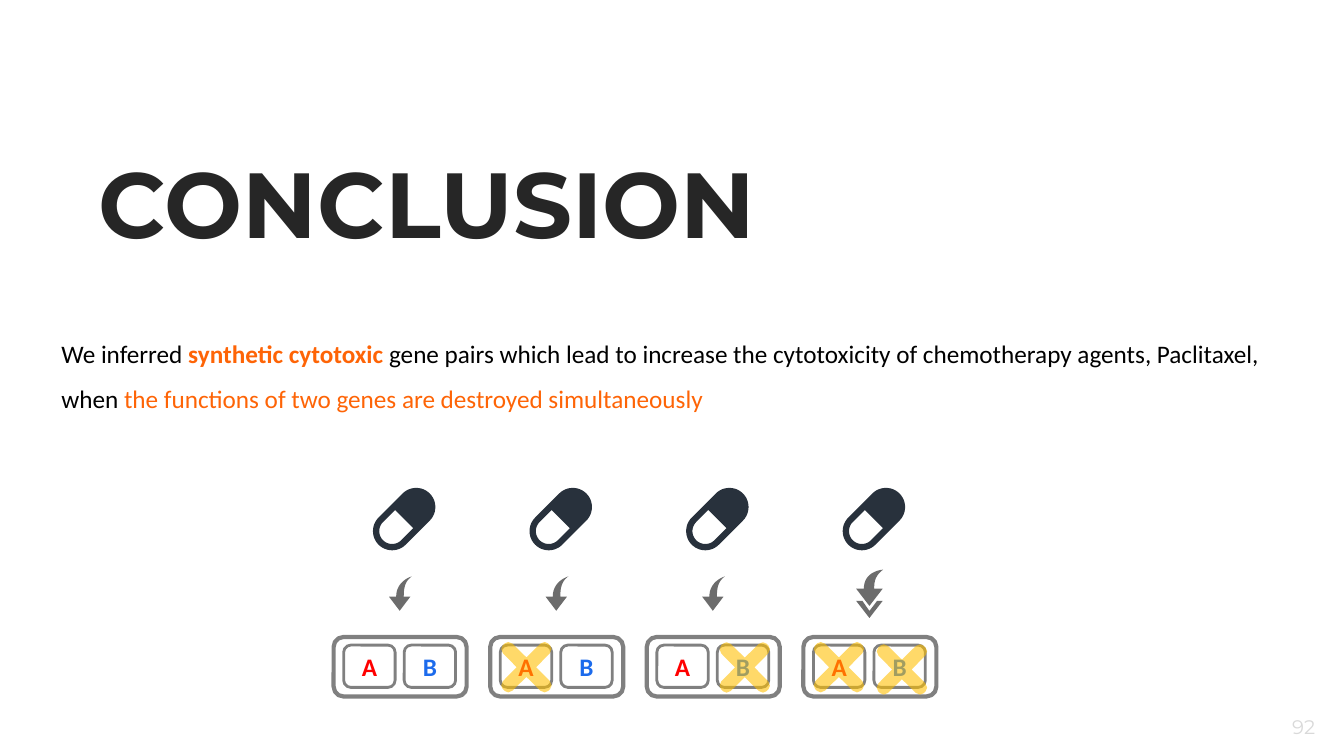
import math

from lxml import etree
from pptx import Presentation
from pptx.dml.color import RGBColor
from pptx.enum.shapes import MSO_SHAPE
from pptx.enum.text import MSO_ANCHOR, PP_ALIGN
from pptx.oxml.ns import qn
from pptx.util import Pt

ROUND_BOX = MSO_SHAPE.ROUNDED_RECTANGLE
MIDDLE = MSO_ANCHOR.MIDDLE
LEFT, CENTER = PP_ALIGN.LEFT, PP_ALIGN.CENTER

BLACK = RGBColor(0x00, 0x00, 0x00)
TITLE_INK = RGBColor(0x26, 0x26, 0x26)
PAGE_GREY = RGBColor(0xD9, 0xD9, 0xD9)
ORANGE = RGBColor(0xFE, 0x64, 0x06)
RED = RGBColor(0xFF, 0x00, 0x00)
BLUE = RGBColor(0x1C, 0x6B, 0xEC)
FRAME_GREY = RGBColor(0x80, 0x80, 0x80)
ARROW_GREY = RGBColor(0x6C, 0x6C, 0x6C)
PILL_NAVY = RGBColor(0x28, 0x31, 0x3C)
AMBER = RGBColor(0xFF, 0xC0, 0x00)

FIRST_CASE, CASE_STEP = 238.3, 111.85
GENES = [("A", 7.2, RED), ("B", 50.4, BLUE)]
# Centres of the crosses in each case, measured from the left of its frame
KNOCKOUTS = [[], [(25.9, 476.6)], [(70, 476.8)], [(25.4, 476.6), (70.4, 478.2)]]


def arc(cx, cy, radius, start, end, steps=24):
    angles = [math.radians(start + (end - start) * i / steps) for i in range(steps + 1)]
    return [(cx + radius * math.cos(a), cy + radius * math.sin(a)) for a in angles]


def bezier(p0, p1, p2, p3, steps=16):
    points = []
    for i in range(steps + 1):
        t = i / steps
        weights = ((1 - t) ** 3, 3 * t * (1 - t) ** 2, 3 * t * t * (1 - t), t ** 3)
        points.append(tuple(sum(w * p[axis] for w, p in zip(weights, (p0, p1, p2, p3)))
                            for axis in (0, 1)))
    return points


def pill_outline():
    """Capsule at 45 degrees around the origin, with its lower half hollow."""
    reach, radius, hollow = 8.6, 13.7, 9.2
    shell = arc(-reach, reach, radius, 45, 225) + arc(reach, -reach, radius, 225, 405)
    edge = hollow * math.sqrt(0.5)
    window = arc(-reach, reach, hollow, 225, 45) + [(edge, edge), (-edge, -edge)]
    return [shell, window]


def cross_outline():
    """One rounded arm turned by quarter turns around the origin."""
    arm = [(7, 0), (16.8, -10), (18, -13), (17, -15.5), (15.5, -17), (13, -18), (10, -16.8)]
    points = []
    for _ in range(4):
        points += arm
        arm = [(y, -x) for x, y in arm]
    return [points]


def arrow_outline():
    """Curved arrow, its tip at the origin."""
    tail = bezier((-2.5, -10), (-2.5, -21.5), (8.6, -24.5), (8.6, -24.5))
    back = bezier((8.6, -24.5), (3.6, -21), (2.9, -15.8), (2.9, -10))
    return [[(7.6, -10), (0, 0), (-7.6, -10)] + tail + back]


def double_arrow_outline():
    """Curved arrow with a chevron below, the chevron's tip at the origin."""
    chevron = [(-5, -12.2), (-9.5, -12.2), (0, 0), (9.5, -12.2), (5.5, -12.2), (0, -5)]
    tail = bezier((3.4, -20.9), (3.4, -26.6), (4.3, -30.2), (9.7, -34.5))
    back = bezier((9.7, -34.5), (9.7, -34.5), (-4, -33.8), (-4, -20.9))
    return [chevron, [(-9.5, -20.9), (0, -8.6), (9.5, -20.9)] + tail + back]


class SlidePainter:
    def __init__(self, page, body_font, display_font):
        self.page = page
        self.body_font = body_font
        self.display_font = display_font

    def span(self, para, text, size, color, bold=False, font=None):
        span = para.add_run()
        span.text = text
        span.font.name = font or self.body_font
        span.font.size = Pt(size)
        span.font.bold = bold
        span.font.color.rgb = color

    def text(self, left, top, width, height, lines, size, font=None, align=LEFT, gap=0):
        """Each line is a list of (text, color, bold)."""
        box = self.page.shapes.add_textbox(Pt(left), Pt(top), Pt(width), Pt(height))
        frame = box.text_frame
        frame.word_wrap = True
        for index, line in enumerate(lines):
            para = frame.add_paragraph() if index else frame.paragraphs[0]
            para.alignment = align
            if index:
                para.space_before = Pt(gap)
            for words, color, bold in line:
                self.span(para, words, size, color, bold, font)

    def frame(self, left, top, width, height, weight, label=None, color=None):
        box = self.page.shapes.add_shape(ROUND_BOX, Pt(left), Pt(top), Pt(width), Pt(height))
        box.shadow.inherit = False
        box.fill.background()
        box.line.color.rgb = FRAME_GREY
        box.line.width = Pt(weight)
        if label:
            box.text_frame.vertical_anchor = MIDDLE
            para = box.text_frame.paragraphs[0]
            para.alignment = CENTER
            self.span(para, label, 18, color, bold=True)

    def outline(self, x, y, contours, color, opacity=100):
        """Filled outline whose contours are given around the point (x, y)."""
        placed = [[(Pt(x + dx), Pt(y + dy)) for dx, dy in contour] for contour in contours]
        builder = self.page.shapes.build_freeform(*placed[0][0])
        for index, contour in enumerate(placed):
            if index:
                builder.move_to(*contour[0])
            builder.add_line_segments(contour[1:], close=True)
        shape = builder.convert_to_shape()
        shape.shadow.inherit = False
        shape.line.fill.background()
        shape.fill.solid()
        shape.fill.fore_color.rgb = color
        if opacity < 100:
            tint = shape.fill._xPr.find(qn("a:solidFill"))[0]
            etree.SubElement(tint, qn("a:alpha")).set("val", str(opacity * 1000))


def main():
    deck = Presentation()
    deck.slide_width, deck.slide_height = Pt(960), Pt(540)
    page = deck.slides.add_slide(deck.slide_layouts[6])
    painter = SlidePainter(page, "Calibri", "Montserrat")

    painter.text(907.2, 506.9, 48.2, 24.5, [[("92", PAGE_GREY, False)]], 14,
                 painter.display_font, CENTER)
    painter.text(63.4, 100.8, 530.6, 87.1, [[("CONCLUSION", TITLE_INK, True)]], 66,
                 painter.display_font)
    painter.text(36.7, 238.3, 886.3, 135.4, [
        [("We inferred ", BLACK, False),
         ("synthetic cytotoxic", ORANGE, True),
         (" gene pairs which lead to increase the cytotoxicity of chemotherapy agents, "
          "Paclitaxel,", BLACK, False)],
        [("when ", BLACK, False),
         ("the functions of two genes are destroyed simultaneously", ORANGE, False)],
    ], 18, gap=10)

    for case, crosses in enumerate(KNOCKOUTS):
        left = FIRST_CASE + case * CASE_STEP
        painter.outline(left + 50.4, 370.8, pill_outline(), PILL_NAVY)
        if len(crosses) == 2:
            painter.outline(left + 47.2, 441.4, double_arrow_outline(), ARROW_GREY)
        else:
            painter.outline(left + 47.2, 436.3, arrow_outline(), ARROW_GREY)
        painter.frame(left, 455, 95, 42.5, 3)
        for gene, offset, color in GENES:
            painter.frame(left + offset, 460.8, 36.7, 30.2, 2, gene, color)
        for dx, y in crosses:
            painter.outline(left + dx, y, cross_outline(), AMBER, opacity=59)

    deck.save("out.pptx")


if __name__ == "__main__":
    main()
